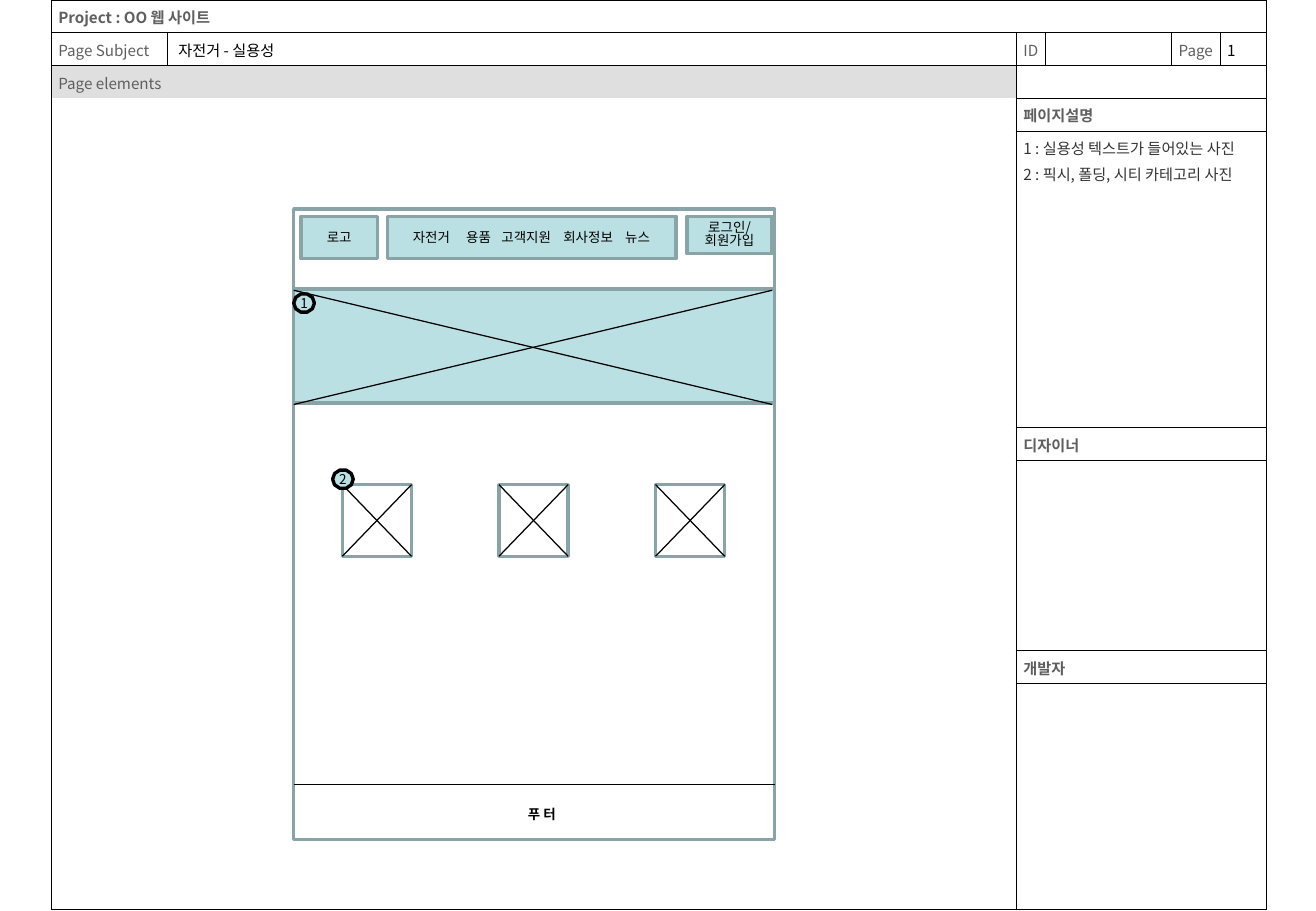
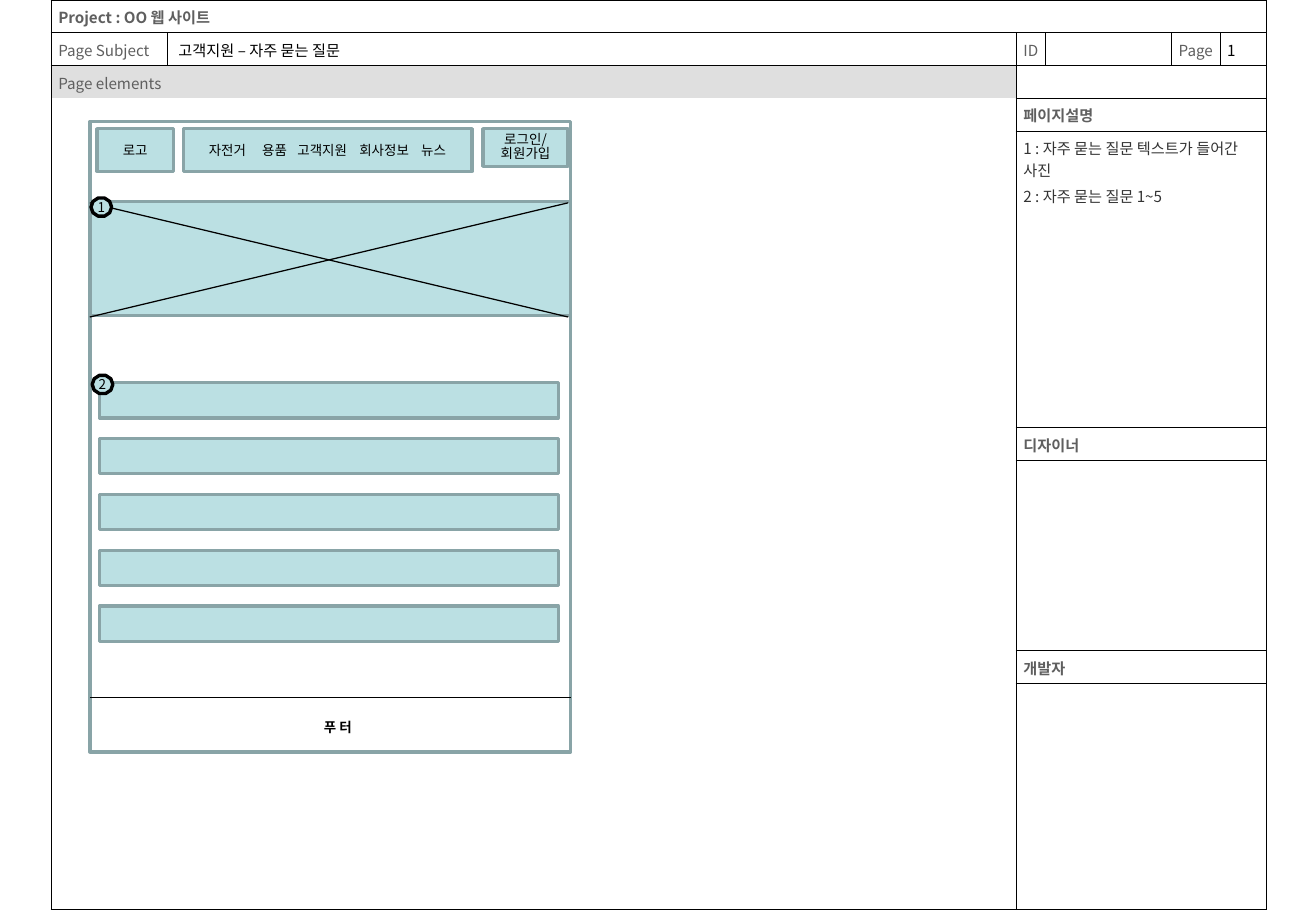
from dataclasses import dataclass
from typing import Optional

from lxml.etree import SubElement
from pptx import Presentation
from pptx.dml.color import RGBColor
from pptx.enum.shapes import MSO_CONNECTOR, MSO_SHAPE
from pptx.enum.text import MSO_ANCHOR, PP_ALIGN
from pptx.oxml.ns import qn
from pptx.util import Emu, Pt

PX = 9144  # 100 px to the inch
FONT = "Noto Sans CJK KR"
BLACK = RGBColor(0x00, 0x00, 0x00)
WHITE = RGBColor(0xFF, 0xFF, 0xFF)
LABEL_GRAY = RGBColor(0x5F, 0x5F, 0x5F)
NOTE_GRAY = RGBColor(0x33, 0x33, 0x33)
BAND_GRAY = RGBColor(0xDF, 0xDF, 0xDF)
AQUA = RGBColor(0xBB, 0xE0, 0xE3)
TEAL = RGBColor(0x89, 0xA4, 0xA7)

COLUMN_WIDTHS = (96, 699, 24, 104, 40, 38)
ROW_HEIGHTS = (27, 27, 27, 27, 244, 27, 157, 27, 186)
MENU = "자전거\t용품\t고객지원\t회사정보\t뉴스"
MENU_TABS = (44, 73, 124, 175)


@dataclass(frozen=True)
class Box:
    left: int
    top: int
    width: int
    height: int

    def moved(self, left: int, top: int) -> "Box":
        return Box(self.left + left, self.top + top, self.width, self.height)

    def emu(self) -> list[Emu]:
        return [px(n) for n in (self.left, self.top, self.width, self.height)]


@dataclass(frozen=True)
class Region:
    """A block of table cells, merged when it is larger than one cell."""
    row: int
    column: int
    rows: int = 1
    columns: int = 1
    text: str = ""
    color: RGBColor = LABEL_GRAY
    bold: bool = False
    fill: Optional[RGBColor] = None
    open_sides: str = ""
    left_margin: int = 6
    right_margin: int = 6


@dataclass(frozen=True)
class Page:
    subject: str
    notes: str
    left: int
    top: int


@dataclass(frozen=True)
class Badge:
    text: str
    left: int
    top: int


def px(length: int) -> Emu:
    return Emu(length * PX)


def style_text(frame, size: int, color: RGBColor, bold: bool = False) -> None:
    for para in frame.paragraphs:
        for span in para.runs:
            span.font.size = Pt(size)
            span.font.bold = bold
            span.font.color.rgb = color
            span.font.name = FONT
            SubElement(span.font._element, qn("a:ea"), typeface=FONT)


def set_margins(frame, left: int, top: int, right: int, bottom: int) -> None:
    frame.margin_left, frame.margin_top = px(left), px(top)
    frame.margin_right, frame.margin_bottom = px(right), px(bottom)


def set_borders(cell, sides: str) -> None:
    properties = cell._tc.get_or_add_tcPr()
    for index, side in enumerate("LRTB"):
        line = SubElement(properties, qn(f"a:ln{side}"), w=str(Pt(0.45)))
        if side in sides:
            fill = SubElement(line, qn("a:solidFill"))
            SubElement(fill, qn("a:srgbClr"), val=str(BLACK))
        else:
            SubElement(line, qn("a:noFill"))
        properties.insert(index, line)


def border_sides(region: Region, row: int, column: int) -> str:
    """Outer edges of the region at this cell; the first cell carries them all."""
    first = (row, column) == (region.row, region.column)
    edges = {
        "L": column == region.column,
        "R": column == region.column + region.columns - 1,
        "T": row == region.row,
        "B": row == region.row + region.rows - 1,
    }
    return "".join(side for side, outer in edges.items()
                   if (outer or first) and side not in region.open_sides)


def fill_region(table, region: Region) -> None:
    for row in range(region.row, region.row + region.rows):
        for column in range(region.column, region.column + region.columns):
            cell = table.cell(row, column)
            if region.fill is None:
                cell.fill.background()
            else:
                cell.fill.solid()
                cell.fill.fore_color.rgb = region.fill
            set_borders(cell, border_sides(region, row, column))
            set_margins(cell, region.left_margin, 5, region.right_margin, 2)
            if not region.text or (row, column) != (region.row, region.column):
                SubElement(cell.text_frame.paragraphs[0]._p,
                           qn("a:endParaRPr"), sz="900")
    first = table.cell(region.row, region.column)
    if region.rows * region.columns > 1:
        first.merge(table.cell(region.row + region.rows - 1,
                               region.column + region.columns - 1))
    if region.text:
        first.text_frame.text = region.text
        for para in first.text_frame.paragraphs[1:]:
            para.space_before = Pt(2.2)
        style_text(first.text_frame, 9, region.color, region.bold)


def add_sheet(slide, page: Page) -> None:
    """Draw the storyboard form around the wireframe."""
    outline = Box(42, 0, sum(COLUMN_WIDTHS), sum(ROW_HEIGHTS))
    table = slide.shapes.add_table(len(ROW_HEIGHTS), len(COLUMN_WIDTHS),
                                   *outline.emu()).table
    table.first_row = table.horz_banding = False
    for column, width in zip(table.columns, COLUMN_WIDTHS):
        column.width = px(width)
    for row, height in zip(table.rows, ROW_HEIGHTS):
        row.height = px(height)
    regions = [
        Region(0, 0, columns=6, text="Project : OO 웹 사이트", bold=True),
        Region(1, 0, text="Page Subject"),
        Region(1, 1, text=page.subject, color=BLACK, left_margin=9),
        Region(1, 2, text="ID", right_margin=3),
        Region(1, 3),
        Region(1, 4, text="Page", right_margin=3),
        Region(1, 5, text="1", color=BLACK),
        Region(2, 0, columns=2, text="Page elements", fill=BAND_GRAY, open_sides="B"),
        Region(2, 2, columns=4),
        Region(3, 0, rows=6, columns=2, open_sides="T"),
        Region(4, 2, columns=4, text=page.notes, color=NOTE_GRAY),
        Region(6, 2, columns=4),
        Region(8, 2, columns=4),
    ]
    regions += [Region(row, 2, columns=4, text=heading, bold=True)
                for row, heading in ((3, "페이지설명"), (5, "디자이너"), (7, "개발자"))]
    for region in regions:
        fill_region(table, region)


def add_block(slide, box: Box, fill: RGBColor = AQUA, line: RGBColor = TEAL,
              text: str = "", preset: MSO_SHAPE = MSO_SHAPE.RECTANGLE):
    shape = slide.shapes.add_shape(preset, *box.emu())
    shape.shadow.inherit = False
    shape.fill.solid()
    shape.fill.fore_color.rgb = fill
    shape.line.color.rgb = line
    shape.line.width = Pt(2)
    if text:
        frame = shape.text_frame
        frame.text = text
        frame.word_wrap = False
        frame.vertical_anchor = MSO_ANCHOR.MIDDLE
        set_margins(frame, 0, 0, 0, 0)
        for para in frame.paragraphs:
            para.alignment = PP_ALIGN.CENTER
        style_text(frame, 8, BLACK)
    return shape


def add_line(slide, left: int, top: int, right: int, bottom: int) -> None:
    line = slide.shapes.add_connector(MSO_CONNECTOR.STRAIGHT, px(left), px(top),
                                      px(right), px(bottom))
    line.line.color.rgb = BLACK
    line.line.width = Pt(0.75)
    SubElement(line._element.spPr, qn("a:effectLst"))


def add_cross(slide, box: Box) -> None:
    right, bottom = box.left + box.width, box.top + box.height
    add_line(slide, box.left, box.top, right, bottom)
    add_line(slide, box.left, bottom, right, box.top)


def add_menu(slide, box: Box) -> None:
    frame = add_block(slide, box, text=MENU).text_frame
    frame.word_wrap = True
    frame.margin_left = px(21)
    para = frame.paragraphs[0]
    para.alignment = PP_ALIGN.LEFT
    tabs = SubElement(para._p.get_or_add_pPr(), qn("a:tabLst"))
    for stop in MENU_TABS:
        SubElement(tabs, qn("a:tab"), pos=str(px(stop)), algn="l")


def add_footer(slide, box: Box) -> None:
    frame = slide.shapes.add_textbox(*box.emu()).text_frame
    frame.word_wrap = True
    frame.text = "푸 터"
    set_margins(frame, 10, 5, 10, 5)
    style_text(frame, 8, BLACK, bold=True)


def add_site_frame(slide, left: int, top: int) -> None:
    """Draw the web page outline with its header, banner and footer."""
    add_block(slide, Box(left, top, 396, 519), fill=WHITE)
    add_line(slide, left, top + 474, left + 396, top + 474)
    add_footer(slide, Box(183, 487, 172, 24).moved(left, top))
    add_block(slide, Box(0, 66, 396, 94).moved(left, top))
    add_cross(slide, Box(0, 67, 394, 94).moved(left, top))
    add_block(slide, Box(6, 6, 63, 35).moved(left, top), text="로고")
    add_menu(slide, Box(77, 6, 238, 35).moved(left, top))
    login = add_block(slide, Box(324, 6, 70, 31).moved(left, top),
                      text="로그인/\n회원가입")
    for para in login.text_frame.paragraphs:
        para.line_spacing = 0.82


def add_badges(slide, badges: list[Badge]) -> None:
    for badge in badges:
        add_block(slide, Box(badge.left, badge.top, 17, 15), line=BLACK,
                  text=badge.text, preset=MSO_SHAPE.DECAGON)


def add_page(deck, page: Page):
    slide = deck.slides.add_slide(deck.slide_layouts[6])
    add_sheet(slide, page)
    add_site_frame(slide, page.left, page.top)
    return slide


def add_bicycle_page(deck) -> None:
    slide = add_page(deck, Page(
        "자전거 - 실용성",
        "1 : 실용성 텍스트가 들어있는 사진\n2 : 픽시, 폴딩, 시티 카테고리 사진", 242, 172))
    for index in range(3):
        tile = Box(282 + 129 * index, 399, 57, 59)
        add_block(slide, tile, fill=WHITE)
        add_cross(slide, tile)
    add_badges(slide, [Badge("1", 242, 242), Badge("2", 274, 387)])


def add_question_page(deck) -> None:
    slide = add_page(deck, Page(
        "고객지원 – 자주 묻는 질문",
        "1 : 자주 묻는 질문 텍스트가 들어간 사진\n2 : 자주 묻는 질문 1~5", 74, 100))
    for index in range(5):
        add_block(slide, Box(82, 315 + 46 * index, 378, 29))
    add_badges(slide, [Badge("1", 75, 163), Badge("2", 76, 309)])


def main() -> None:
    deck = Presentation()
    deck.slide_width, deck.slide_height = px(1084), px(750)
    add_bicycle_page(deck)
    add_question_page(deck)
    deck.save("out.pptx")


if __name__ == "__main__":
    main()
